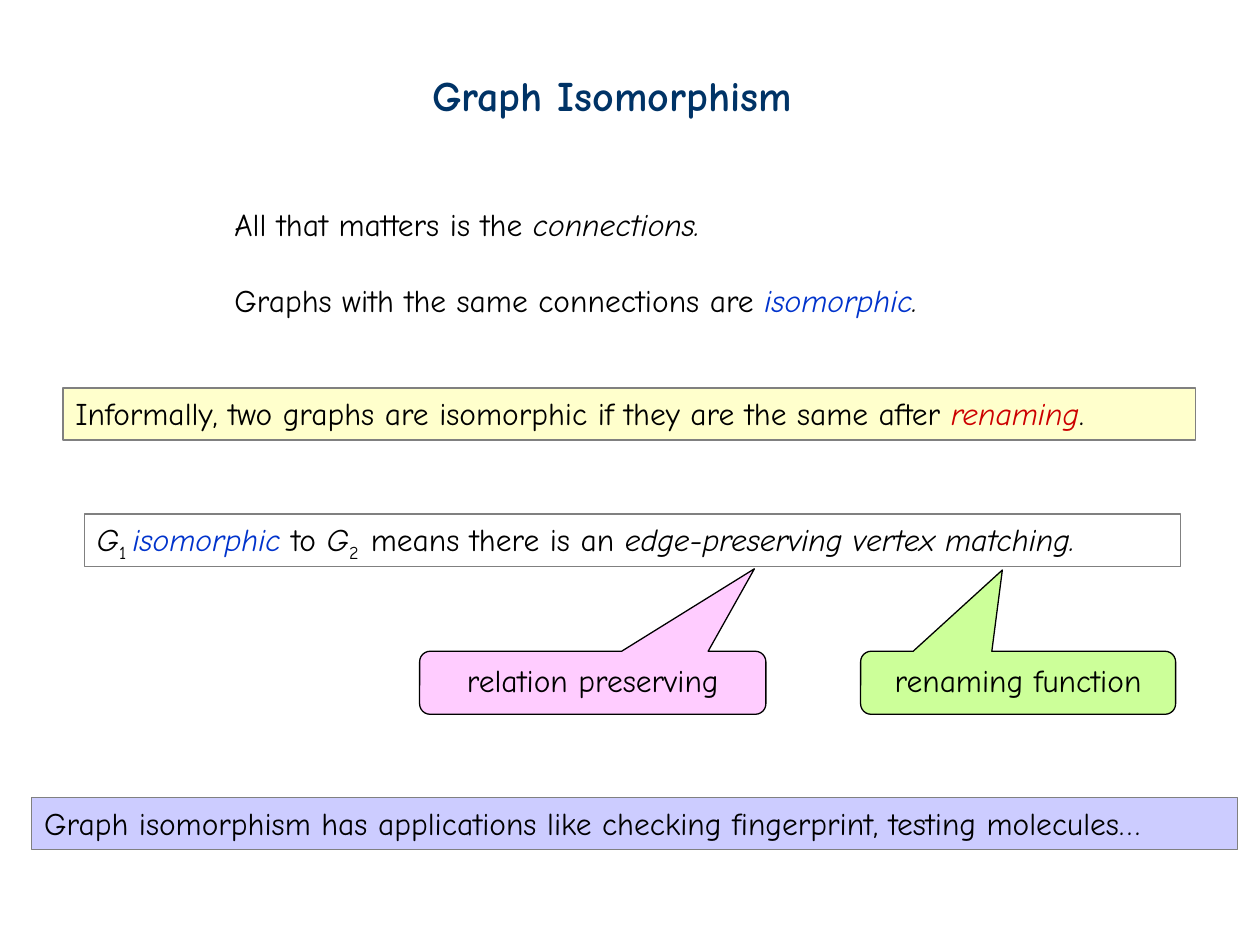
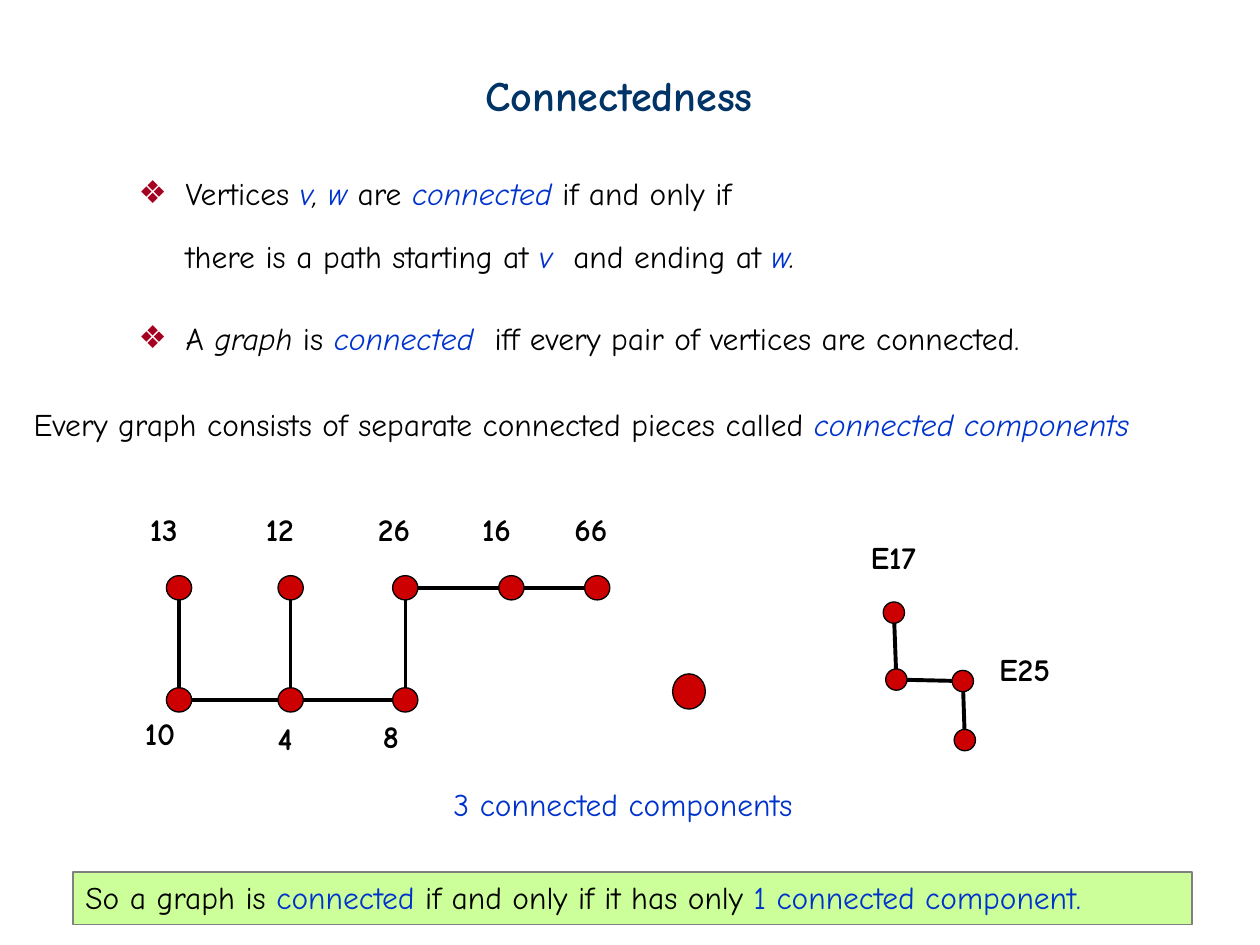
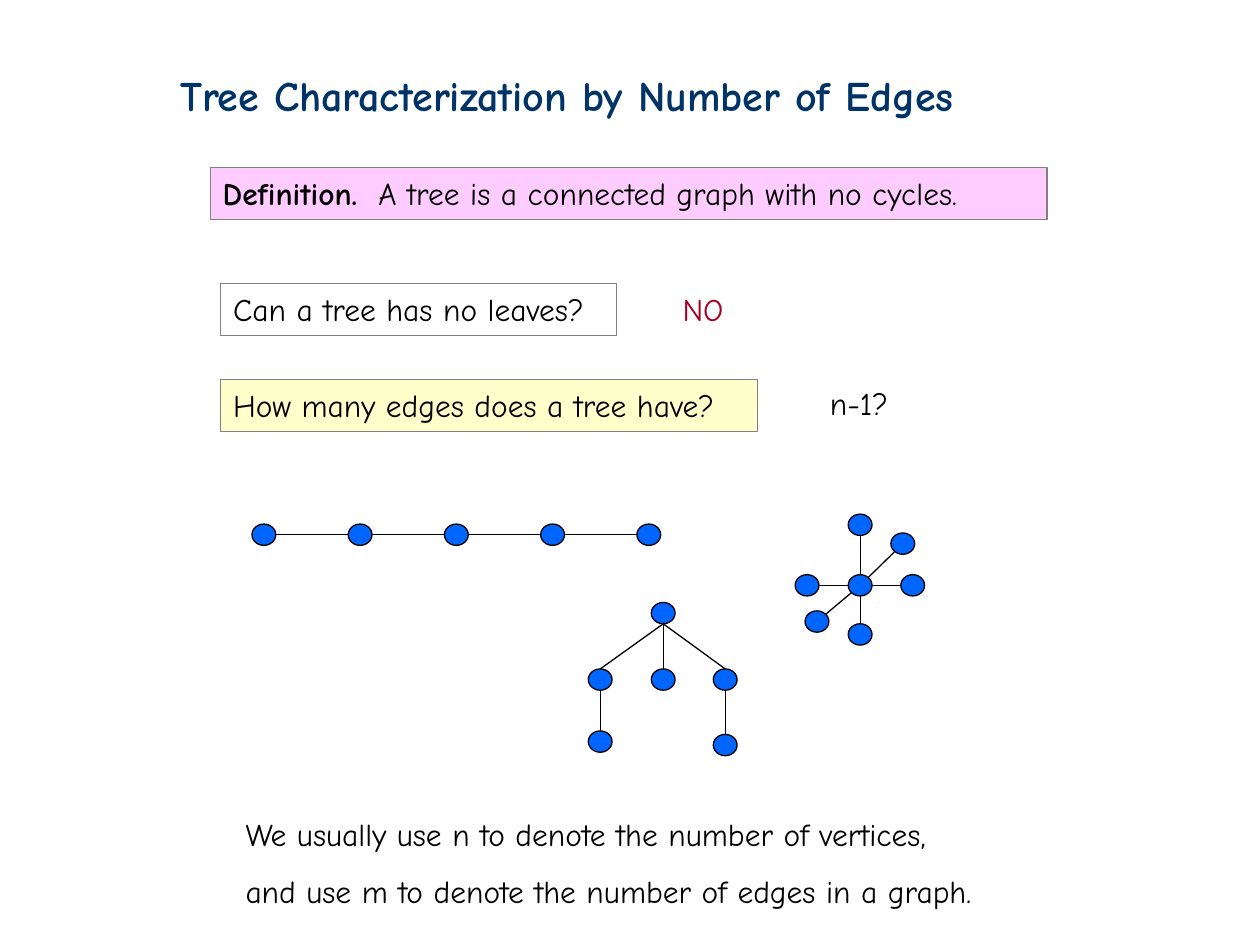
from lxml import etree
from pptx import Presentation
from pptx.dml.color import RGBColor
from pptx.enum.shapes import MSO_CONNECTOR, MSO_SHAPE
from pptx.enum.text import MSO_ANCHOR, MSO_AUTO_SIZE, PP_ALIGN
from pptx.oxml.ns import qn
from pptx.util import Cm, Pt

RECT = MSO_SHAPE.RECTANGLE
OVAL = MSO_SHAPE.OVAL
CALL = MSO_SHAPE.ROUNDED_RECTANGULAR_CALLOUT
LINE = MSO_CONNECTOR.STRAIGHT
LEFT, MID = PP_ALIGN.LEFT, PP_ALIGN.CENTER
LIST, PLAIN = 1, 5  # template layouts

BLACK, GRAY, NAVY, WINE = "000000", "808080", "003366", "A50021"
RED, AZURE = "CC0000", "0066FF"
CREAM, PINK, LIME, LILAC = "FFFFCC", "FFCCFF", "CCFF99", "CCCCFF"

BASE = {"name": "Comic Neue", "size": Pt(18), "bold": False, "italic": False,
        "color": BLACK}
HEAD = {"size": Pt(24), "bold": True, "color": NAVY}
BOLD = {"bold": True}
SLANT = {"italic": True}
BLUE = {"color": "0033CC"}
TERM = {**BLUE, **SLANT}
SUB = {"base": "-25000"}
FRAME = {"word_wrap": True, "auto_size": MSO_AUTO_SIZE.NONE,
         "vertical_anchor": MSO_ANCHOR.TOP}


def tint(code):
    return RGBColor.from_string(code)


def style(run, look):
    for key, val in look.items():
        if key == "color":
            run.font.color.rgb = tint(val)
        elif key == "base":
            run._r.get_or_add_rPr().set("baseline", val)
        else:
            setattr(run.font, key, val)


def mark(par, sign, inset):
    """Set the bullet (None for no bullet) and the left inset in cm."""
    props = par._p.get_or_add_pPr()
    props.set("marL", str(Cm(inset)))
    props.set("indent", str(-Cm(inset) if sign else 0))
    if sign:
        tone = etree.SubElement(props, qn("a:buClr"))
        etree.SubElement(tone, qn("a:srgbClr")).set("val", WINE)
        etree.SubElement(props, qn("a:buChar")).set("char", sign)
    else:
        etree.SubElement(props, qn("a:buNone"))


def write(shape, *lines, look=None, **form):
    """Fill a shape; a line is a string or a list of strings and (text, look)."""
    frame = shape.text_frame
    for key, val in FRAME.items():
        setattr(frame, key, val)
    for i, line in enumerate(lines):
        par = frame.add_paragraph() if i else frame.paragraphs[0]
        for key, val in {"alignment": LEFT, **form}.items():
            setattr(par, key, val)
        for part in [line] if isinstance(line, str) else line:
            text, own = (part, {}) if isinstance(part, str) else part
            run = par.add_run()
            run.text = text
            style(run, {**BASE, **(look or {}), **own})
    return frame.paragraphs


def place(shape, *area):
    for key, val in zip(("left", "top", "width", "height"), area):
        setattr(shape, key, Cm(val))
    return shape


def start(deck, kind, text, left, width):
    """Add a slide with its title."""
    slide = deck.slides.add_slide(deck.slide_layouts[kind])
    write(place(slide.shapes.title, left, 1.27, width, 1.27), text, look=HEAD)
    return slide


def label(slide, area, *lines, **form):
    return write(slide.shapes.add_textbox(*map(Cm, area)), *lines, **form)


def form(slide, kind, area, fill, edge=BLACK):
    shape = slide.shapes.add_shape(kind, *map(Cm, area))
    shape.shadow.inherit = False
    if fill:
        shape.fill.solid()
        shape.fill.fore_color.rgb = tint(fill)
    else:
        shape.fill.background()
    shape.line.color.rgb = tint(edge)
    shape.line.width = Pt(0.75)
    return shape


def panel(slide, area, fill, line):
    write(form(slide, RECT, area, fill, GRAY), line)


def callout(slide, area, fill, text, tip):
    shape = form(slide, CALL, area, fill)
    shape.adjustments[0], shape.adjustments[1] = tip
    write(shape, text, alignment=MID)


def link(slide, tail, head, width, drop=0):
    """Join two points; drop moves the ends to the bottom and top of the nodes."""
    (x1, y1), (x2, y2) = tail, head
    line = slide.shapes.add_connector(
        LINE, Cm(x1), Cm(y1 + drop), Cm(x2), Cm(y2 - drop))
    line.line.color.rgb = tint(BLACK)
    line.line.width = Pt(width)
    etree.SubElement(line._element.spPr, qn("a:effectLst"))


def graph(slide, nodes, edges, size, fill, width=0.75, drop=0):
    """Draw edges between node centres, then the nodes over them."""
    for tail, head in edges:
        link(slide, nodes[tail], nodes[head], width, drop)
    wide, high = size
    for x, y in nodes:
        form(slide, OVAL, (x - wide / 2, y - high / 2, wide, high), fill)


def matching(deck):
    slide = start(deck, LIST, "Graph Isomorphism", 8.46, 8.36)
    body = place(slide.placeholders[1], 4.47, 4.01, 16.69, 2.54)
    pars = write(
        body,
        ["All that matters is the ", ("connections.", SLANT)],
        ["Graphs with the same connections are ", ("isomorphic", TERM), (".", SLANT)],
        space_before=Pt(0))
    pars[1].line_spacing = 2.0
    for par in pars:
        mark(par, None, 0)
    panel(slide, (1.27, 7.82, 22.83, 1.05), CREAM,
          ["Informally, two graphs are isomorphic if they are the same after ",
           ("renaming", {"color": RED, **SLANT}), "."])
    panel(slide, (1.7, 10.36, 22.1, 1.06), None,
          [("G", SLANT), ("1 ", SUB), ("isomorphic ", TERM), "to ",
           ("G", SLANT), ("2  ", SUB), "means there is an ",
           ("edge-preserving vertex matching.", SLANT)])
    callout(slide, (8.46, 13.13, 6.98, 1.27), PINK, "relation preserving",
            (0.467, -1.81))
    callout(slide, (17.35, 13.13, 6.35, 1.27), LIME, "renaming function",
            (-0.05, -1.79))
    panel(slide, (0.64, 16.08, 24.31, 1.05), LILAC,
          "Graph isomorphism has applications like checking fingerprint, "
          "testing molecules…")


def pieces(deck):
    slide = start(deck, LIST, "Connectedness", 9.53, 6.38)
    body = place(slide.placeholders[1], 2.54, 3.38, 20.32, 3.81)
    pars = write(
        body,
        ["Vertices ", ("v", TERM), (", ", SLANT), ("w ", TERM), "are ",
         ("connected", TERM), " if and only if"],
        ["there is a path starting at ", ("v", TERM), "  and ending at ",
         ("w", TERM), (".", SLANT)],
        ["A ", ("graph ", SLANT), "is ", ("connected", TERM),
         "  iff every pair of vertices are connected."])
    for par, sign, space in zip(pars, ("❖", None, "❖"), (1.0, 1.5, 2.0)):
        par.line_spacing = space
        mark(par, sign, 0.95)
    label(slide, (0.43, 8.05, 24.56, 1.06),
          ["Every graph consists of separate connected pieces called ",
           ("connected components", TERM)])

    cols, high, low = (3.61, 5.86, 8.17, 10.31, 12.04), 11.85, 14.11
    nodes = [(x, high) for x in cols] + [(x, low) for x in cols[:3]]
    edges = [(0, 5), (5, 6), (6, 1), (6, 7), (7, 2), (2, 3), (3, 4)]
    graph(slide, nodes, edges, (0.51, 0.49), RED, 2)
    graph(slide, [(13.89, 13.94)], [], (0.66, 0.71), RED)
    steps = [(18.02, 12.35), (18.07, 13.7), (19.41, 13.73), (19.45, 14.92)]
    graph(slide, steps, [(0, 1), (1, 2), (2, 3)], (0.43, 0.43), RED, 2.25)
    tags = [("13", 2.77, 10.16), ("12", 5.11, 10.16), ("26", 7.37, 10.16),
            ("16", 9.47, 10.16), ("66", 11.33, 10.16), ("10", 2.67, 14.27),
            ("4", 5.35, 14.38), ("8", 7.47, 14.33),
            ("E17", 17.3, 10.72), ("E25", 19.89, 12.98)]
    for text, x, y in tags:
        label(slide, (x, y, 1.8, 1.02), text, look=BOLD)

    label(slide, (8.89, 15.7, 7.75, 1.02), "3 connected components", look=BLUE)
    panel(slide, (1.47, 17.58, 22.56, 1.06), LIME,
          ["So a graph is ", ("connected ", BLUE), "if and only if it has only ",
           ("1 connected component.", BLUE)])


def trees(deck):
    slide = start(deck, PLAIN, "Tree Characterization by Number of Edges",
                  3.38, 18.42)
    panel(slide, (4.24, 3.38, 16.87, 1.05), PINK,
          [("Definition.", BOLD), "  A tree is a connected graph with no cycles."])
    panel(slide, (4.45, 5.72, 7.98, 1.05), None, "Can a tree has no leaves?")
    label(slide, (13.51, 5.72, 1.8, 1.02), "NO", look={"color": WINE})
    panel(slide, (4.45, 7.65, 10.82, 1.05), CREAM,
          "How many edges does a tree have?")
    label(slide, (16.48, 7.62, 2, 1.02), "n-1?")

    size = (0.48, 0.43)
    chain = [(5.32 + 1.94 * i, 10.78) for i in range(5)]
    graph(slide, chain, [(i, i + 1) for i in range(4)], size, AZURE)
    star = [(17.34, 11.8), (16.27, 11.8), (18.4, 11.8), (17.34, 10.58),
            (17.34, 12.79), (18.2, 10.96), (16.47, 12.53)]
    graph(slide, star, [(0, i) for i in range(1, 7)], size, AZURE)
    tree = [(13.37, 12.36), (12.1, 13.7), (13.37, 13.7), (14.62, 13.7),
            (12.1, 14.95), (14.62, 15.02)]
    graph(slide, tree, [(0, 1), (0, 2), (0, 3), (1, 4), (3, 5)], size, AZURE,
          drop=size[1] / 2)

    pars = label(slide, (4.7, 16.31, 16.03, 2.16),
                 "We usually use n to denote the number of vertices,",
                 "and use m to denote the number of edges in a graph.")
    pars[1].line_spacing = 1.5


def main():
    deck = Presentation()
    deck.slide_width, deck.slide_height = Cm(25.4), Cm(19.05)
    for build in (matching, pieces, trees):
        build(deck)
    deck.save("out.pptx")


if __name__ == "__main__":
    main()
